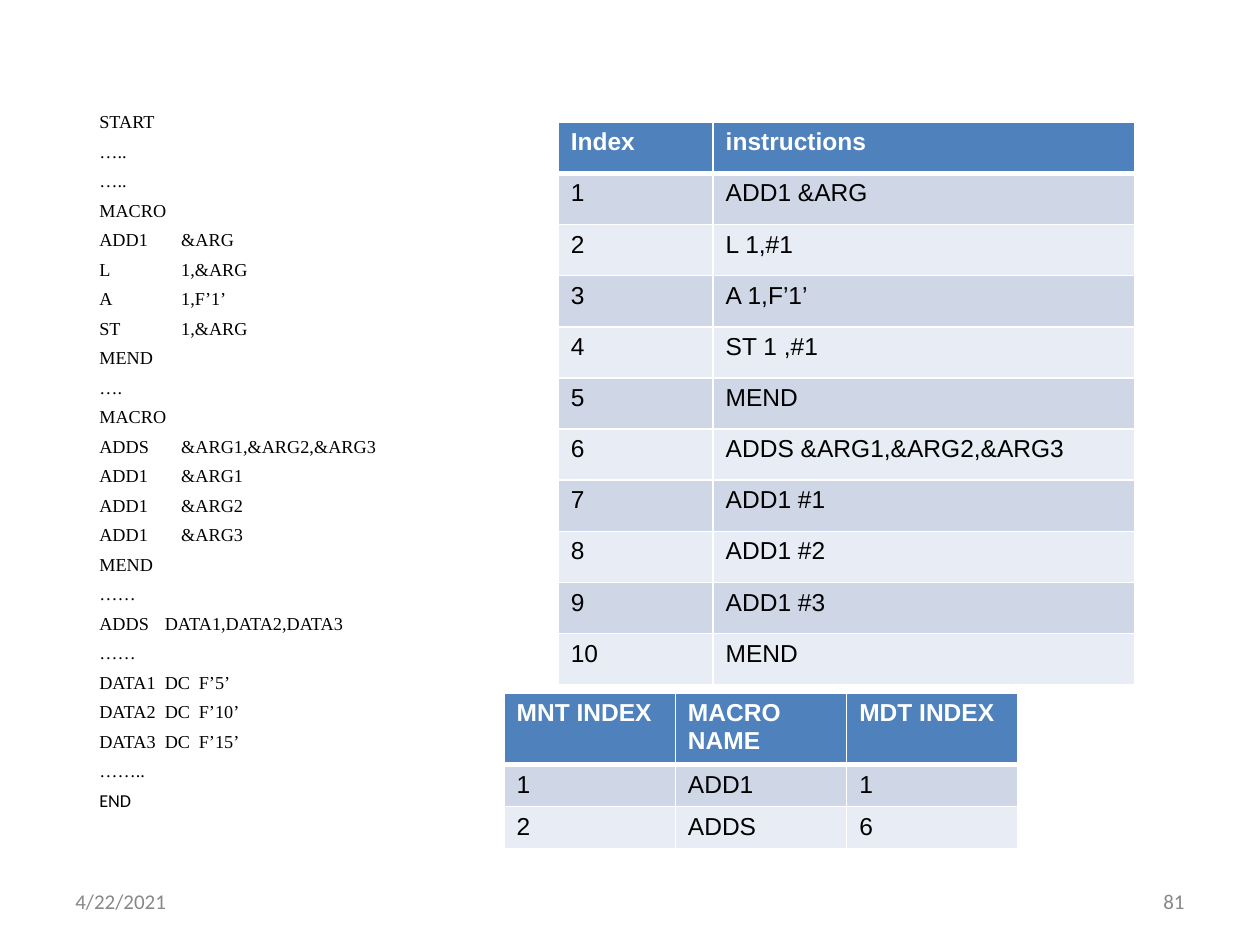
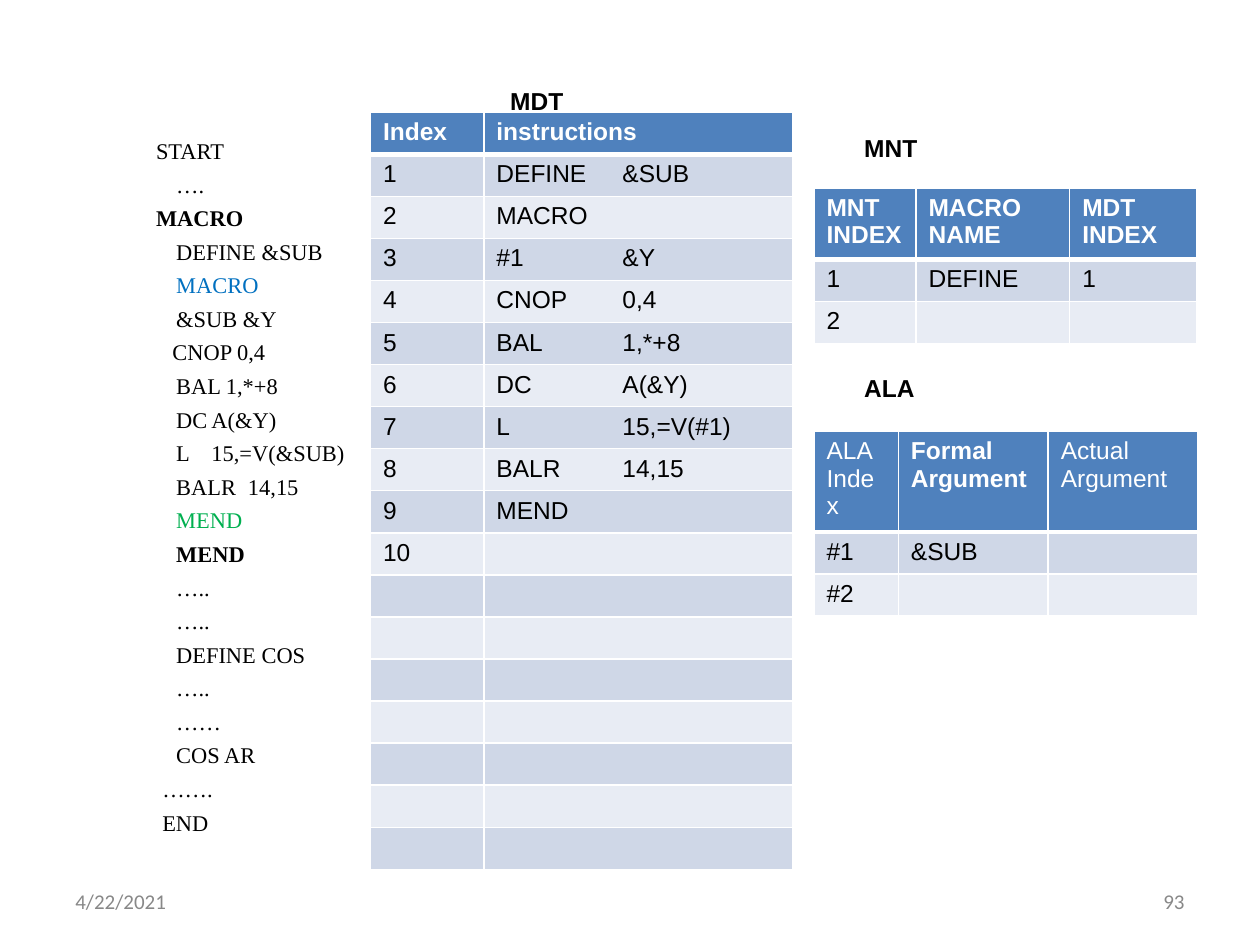
from dataclasses import dataclass
from lxml.etree import SubElement
from pptx import Presentation
from pptx.dml.color import RGBColor
from pptx.enum.text import MSO_ANCHOR, PP_ALIGN
from pptx.oxml.ns import qn
from pptx.util import Inches, Pt

COLS, ROWS = 100, 75
WIDTH, HEIGHT = Inches(10), Inches(7.5)

HUES = {
    "black": "000000", "white": "FFFFFF", "grey": "888888",
    "head": "4F81BD", "dark": "CFD7E7", "light": "E8ECF4",
    "blue": "0070C0", "green": "00B050",
}
SANS, SERIF, PLAIN = "Arial", "Times New Roman", "Calibri"
LINE_ROWS = 3.2   # table row that holds one line of text
TWO_ROWS = 5.4    # table row that holds two lines
THREE_ROWS = 7.6  # table row that holds three lines


@dataclass
class Box:
    """A place on the slide, in grid columns and rows."""
    left: float
    top: float
    width: float
    height: float


@dataclass
class Style:
    size: float
    face: str = SANS
    hue: str = "black"
    bold: bool = False


@dataclass
class Part:
    """Code lines that share tab stops, given in grid columns."""
    lines: list[str]
    stops: tuple[float, ...] = ()
    hue: str = "black"
    bold: bool = False
    face: str = SERIF


@dataclass
class Grid:
    """A table; widths are in columns, heights in rows."""
    left: float
    top: float
    widths: tuple[float, ...]
    cells: list[tuple[str, ...]]
    first: float = LINE_ROWS
    rest: float = LINE_ROWS
    thin: tuple[int, ...] = ()  # columns whose heading is not bold
    stops: tuple[float, ...] = ()


@dataclass
class Label:
    text: str
    box: Box


@dataclass
class Page:
    number: int
    code: list[Part]
    place: Box
    size: float
    grids: list[Grid]
    labels: list[Label]


def across(count: float) -> int:
    return round(WIDTH * count / COLS)


def down(count: float) -> int:
    return round(HEIGHT * count / ROWS)


def color(hue: str) -> RGBColor:
    return RGBColor.from_string(HUES[hue])


def add_stops(para, stops: tuple[float, ...]) -> None:
    if stops:
        tabs = SubElement(para._p.get_or_add_pPr(), qn("a:tabLst"))
        for stop in stops:
            SubElement(tabs, qn("a:tab"), pos=str(across(stop)), algn="l")


def write(para, text: str, style: Style, stops: tuple[float, ...] = ()) -> None:
    para.text = text
    add_stops(para, stops)
    for run in para.runs:
        font = run.font
        font.size, font.name, font.bold = Pt(style.size), style.face, style.bold
        font.color.rgb = color(style.hue)
    if not text:
        SubElement(para._p, qn("a:endParaRPr"), sz=str(round(style.size * 100)))


def add_frame(slide, box: Box, wrap: bool = True):
    shape = slide.shapes.add_textbox(across(box.left), down(box.top),
                                     across(box.width), down(box.height))
    shape.text_frame.word_wrap = wrap
    return shape.text_frame


def draw_code(slide, page: Page) -> None:
    frame = add_frame(slide, page.place)
    pairs = [(part, line) for part in page.code for line in part.lines]
    for rank, (part, line) in enumerate(pairs):
        para = frame.add_paragraph() if rank else frame.paragraphs[0]
        style = Style(page.size, part.face, part.hue, part.bold)
        write(para, line, style, part.stops)
        para.line_spacing = 0.8
        para.space_before = Pt(6.9 if rank else 0)


def draw_edges(cell, row: int) -> None:
    """White cell borders, thick below the heading row."""
    props = cell._tc.get_or_add_tcPr()
    thick = {0: "lnB", 1: "lnT"}.get(row)
    for side in ("lnL", "lnR", "lnT", "lnB"):
        width = Pt(3 if side == thick else 1)
        edge = SubElement(props, qn(f"a:{side}"), w=str(width))
        fill = SubElement(edge, qn("a:solidFill"))
        SubElement(fill, qn("a:srgbClr"), val=HUES["white"])


def draw_grid(slide, grid: Grid) -> None:
    count = len(grid.cells)
    total = grid.first + grid.rest * (count - 1)
    table = slide.shapes.add_table(
        count, len(grid.widths), across(grid.left), down(grid.top),
        across(sum(grid.widths)), down(total)).table
    table.horz_banding = False
    for column, width in zip(table.columns, grid.widths):
        column.width = across(width)
    for row, texts in enumerate(grid.cells):
        table.rows[row].height = down(grid.rest if row else grid.first)
        band = ("light", "dark")[row % 2] if row else "head"
        for col, text in enumerate(texts):
            cell = table.cell(row, col)
            draw_edges(cell, row)
            cell.fill.solid()
            cell.fill.fore_color.rgb = color(band)
            style = Style(14) if row else Style(
                14, hue="white", bold=col not in grid.thin)
            write(cell.text_frame.paragraphs[0], text, style,
                  grid.stops if "\t" in text else ())


def draw_foot(slide, number: int) -> None:
    notes = [("4/22/2021", 5, PP_ALIGN.LEFT),
             (str(number), 71.7, PP_ALIGN.RIGHT)]
    for text, left, align in notes:
        frame = add_frame(slide, Box(left, 69.5, 23.3, 4))
        frame.vertical_anchor = MSO_ANCHOR.MIDDLE
        para = frame.paragraphs[0]
        write(para, text, Style(12, PLAIN, "grey"))
        para.alignment = align


def draw_page(deck, page: Page) -> None:
    slide = deck.slides.add_slide(deck.slide_layouts[6])
    draw_code(slide, page)
    draw_foot(slide, page.number)
    for grid in page.grids:
        draw_grid(slide, grid)
    for label in page.labels:
        frame = add_frame(slide, label.box)
        write(frame.paragraphs[0], label.text, Style(14, bold=True))


def count_up(texts: list[str], total: int) -> list[tuple[str, str]]:
    """Number the texts from 1 to total, with blanks after the last."""
    blanks = [""] * (total - len(texts))
    return [(str(rank), text) for rank, text in enumerate(texts + blanks, 1)]


MDT_HEAD = ("Index", "instructions")
MNT_HEAD = ("MNT INDEX", "MACRO NAME", "MDT INDEX")

BODY = (6.5,)
MAIN = (5.2, 7.9)
NESTED = (5, 7.8, 10.7)
OUTER = (3.4,)
TAIL = (3.9,)

CALLS = Page(
    number=81,
    code=[
        Part(["START", "…..", "….."]),
        Part(["MACRO", "ADD1\t&ARG", "L\t1,&ARG", "A\t1,F’1’", "ST\t1,&ARG",
              "MEND", "….", "MACRO", "ADDS\t&ARG1,&ARG2,&ARG3", "ADD1\t&ARG1",
              "ADD1\t&ARG2", "ADD1\t&ARG3", "MEND"], BODY),
        Part(["……", "ADDS\tDATA1,DATA2,DATA3", "……", "DATA1\tDC\tF’5’",
              "DATA2\tDC\tF’10’", "DATA3\tDC\tF’15’", "…….."], MAIN),
        Part(["END"], face=PLAIN),
    ],
    place=Box(6.9, 8.6, 36, 62.2),
    size=10.4,
    grids=[
        Grid(44.3, 9.7, (12.3, 33.5), [MDT_HEAD] + count_up(
            ["ADD1 &ARG", "L 1,#1", "A 1,F’1’", "ST 1 ,#1", "MEND",
             "ADDS &ARG1,&ARG2,&ARG3", "ADD1 #1", "ADD1 #2", "ADD1 #3",
             "MEND"], 10), first=4.06, rest=4.06),
        Grid(40, 55, (13.6,) * 3,
             [MNT_HEAD, ("1", "ADD1", "1"), ("2", "ADDS", "6")], TWO_ROWS),
    ],
    labels=[],
)

DEFINES = Page(
    number=93,
    code=[
        Part(["\tSTART"], OUTER),
        Part(["\t…."], NESTED),
        Part(["\tMACRO"], OUTER, bold=True),
        Part(["\tDEFINE &SUB"], NESTED),
        Part(["\tMACRO"], NESTED, "blue"),
        Part(["\t&SUB &Y"], NESTED),
        Part(["\tCNOP 0,4"], (4.7,)),
        Part(["\tBAL 1,*+8", "\tDC\tA(&Y)", "\tL\t15,=V(&SUB)",
              "\tBALR\t14,15"], NESTED),
        Part(["\tMEND"], NESTED, "green"),
        Part(["\tMEND"], NESTED, bold=True),
        Part(["\t…..", "\t…..", "\tDEFINE COS", "\t…..", "\t……",
              "\tCOS AR"], NESTED),
        Part(["\t…….", "\tEND"], TAIL),
    ],
    place=Box(8, 10.8, 21.4, 56.2),
    size=12.8,
    grids=[
        Grid(29.4, 8.9, (9, 24.5), [MDT_HEAD] + count_up(
            ["DEFINE\t&SUB", "MACRO", "#1\t&Y", "CNOP\t0,4", "BAL\t1,*+8",
             "DC\tA(&Y)", "L\t15,=V(#1)", "BALR\t14,15", "MEND"], 10)
             + [("", "")] * 7, stops=(10,)),
        Grid(64.6, 14.9, (8.1, 12.2, 10.1),
             [MNT_HEAD, ("1", "DEFINE", "1"), ("2", "", "")], TWO_ROWS),
        Grid(64.6, 34.2, (6.7, 11.9, 11.9),
             [("ALA Index", "Formal Argument", "Actual Argument"),
              ("#1", "&SUB", ""), ("#2", "", "")], THREE_ROWS, thin=(0, 2)),
    ],
    labels=[
        Label("MDT", Box(39.5, 6.3, 12.5, 3.4)),
        Label("MNT", Box(67.6, 10.1, 12.9, 3.4)),
        Label("ALA", Box(67.6, 29.1, 12.9, 3.4)),
    ],
)


def main() -> None:
    deck = Presentation()
    deck.slide_width, deck.slide_height = WIDTH, HEIGHT
    for page in (CALLS, DEFINES):
        draw_page(deck, page)
    deck.save("out.pptx")


if __name__ == "__main__":
    main()
